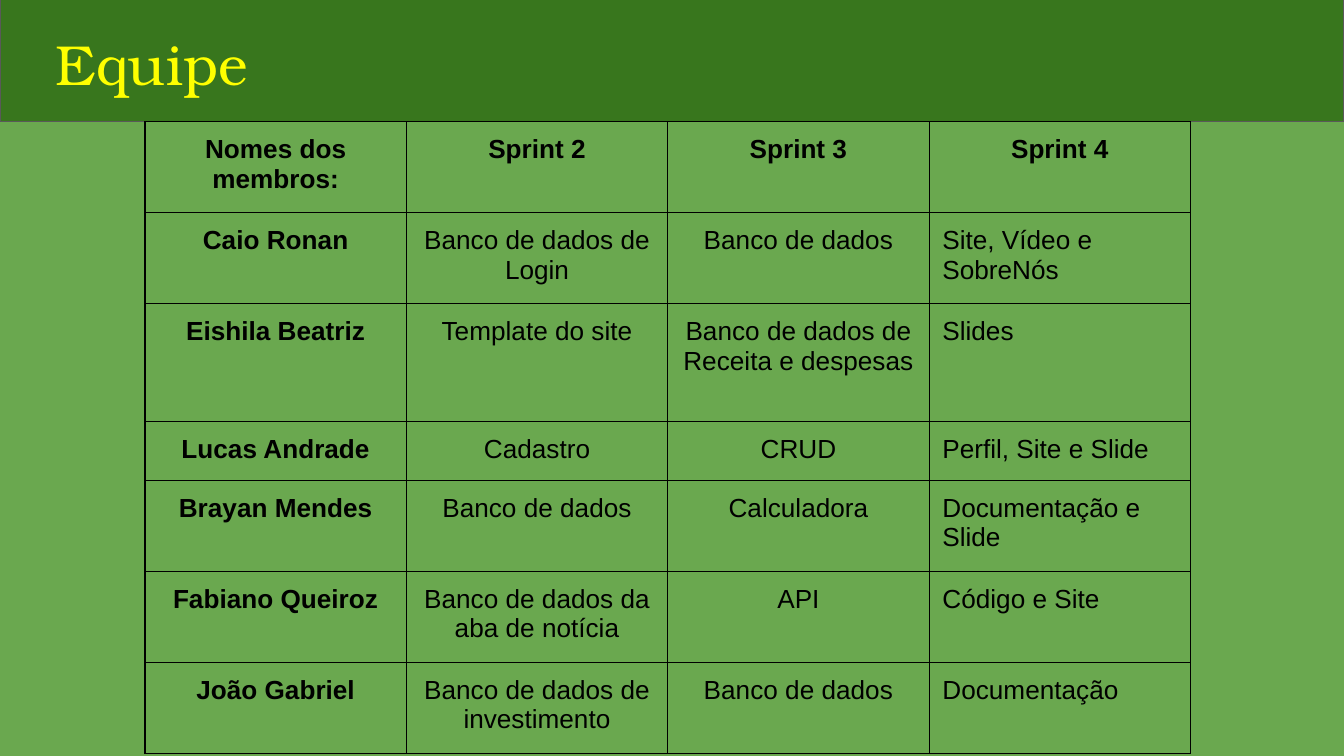
from lxml.etree import SubElement
from pptx import Presentation
from pptx.dml.color import RGBColor
from pptx.enum.shapes import MSO_SHAPE as Shape
from pptx.enum.text import MSO_ANCHOR as Anchor, PP_ALIGN as Align
from pptx.oxml.ns import qn
from pptx.util import Cm, Pt

COLORS = {
    "background": "6AA84F",
    "band": "38761D",
    "band_line": "595959",
    "title": "FFFF00",
    "ink": "000000",
}
PADDING = {f"margin_{side}": Cm(0.25) for side in ("left", "top", "right", "bottom")}

TEAM = [
    ["Nomes dos membros:", "Sprint 2", "Sprint 3", "Sprint 4"],
    ["Caio Ronan", "Banco de dados de Login", "Banco de dados", "Site, Vídeo e SobreNós"],
    ["Eishila Beatriz", "Template do site", "Banco de dados de Receita e despesas", "Slides"],
    ["Lucas Andrade", "Cadastro", "CRUD", "Perfil, Site e Slide"],
    ["Brayan Mendes", "Banco de dados", "Calculadora", "Documentação e Slide"],
    ["Fabiano Queiroz", "Banco de dados da aba de notícia", "API", "Código e Site"],
    ["João Gabriel", "Banco de dados de investimento", "Banco de dados", "Documentação"],
]
ROW_HEIGHTS = [1.72, 1.72, 2.23, 1.11, 1.72, 1.72, 1.72]


def rgb(name):
    return RGBColor.from_string(COLORS[name])


def set_attributes(target, values):
    for name, value in values.items():
        setattr(target, name, value)


def write(frame, text, color, align=Align.LEFT, **font):
    paragraph = frame.paragraphs[0]
    paragraph.alignment = align
    run = paragraph.add_run()
    run.text = text
    run.font.color.rgb = rgb(color)
    set_attributes(run.font, font)


def add_header(slide, left, top, width, height):
    band = slide.shapes.add_shape(Shape.RECTANGLE, Cm(left), Cm(top), Cm(width), Cm(height))
    band.shadow.inherit = False
    band.fill.solid()
    band.fill.fore_color.rgb = rgb("band")
    band.line.color.rgb = rgb("band_line")
    band.line.width = Pt(0.75)

    title = slide.shapes.add_textbox(
        Cm(left + 0.8), Cm(top + 0.28), Cm(width - 1.73), Cm(height - 0.4)
    ).text_frame
    set_attributes(title, {"word_wrap": True, "vertical_anchor": Anchor.MIDDLE, **PADDING})
    write(title, "Equipe", "title", name="TeX Gyre Bonum", size=Pt(30.2))


def add_borders(cell):
    properties = cell._tc.get_or_add_tcPr()
    for position, side in enumerate(("lnL", "lnR", "lnT", "lnB")):
        line = SubElement(properties, qn(f"a:{side}"), w=str(Pt(0.75)))
        fill = SubElement(line, qn("a:solidFill"))
        SubElement(fill, qn("a:srgbClr"), val=COLORS["ink"])
        # Borders come before the fill in the cell properties.
        properties.insert(position, line)


def add_team_table(slide, left, top, width):
    columns = len(TEAM[0])
    table = slide.shapes.add_table(
        len(TEAM), columns, Cm(left), Cm(top), Cm(width), Cm(sum(ROW_HEIGHTS))
    ).table
    set_attributes(table, {"first_row": False, "horz_banding": False})
    for column in table.columns:
        column.width = Cm(width / columns)
    for row, height in zip(table.rows, ROW_HEIGHTS):
        row.height = Cm(height)

    for r, entries in enumerate(TEAM):
        for c, entry in enumerate(entries):
            cell = table.cell(r, c)
            set_attributes(cell, PADDING)
            cell.fill.background()
            add_borders(cell)
            is_heading = r == 0 or c == 0
            is_last_task = r > 0 and c == columns - 1
            write(cell.text_frame, entry, "ink",
                  Align.LEFT if is_last_task else Align.CENTER,
                  name="Arial", size=Pt(14), bold=is_heading)


def main():
    deck = Presentation()
    deck.slide_width, deck.slide_height = Cm(25.4), Cm(14.29)
    slide = deck.slides.add_slide(deck.slide_layouts[6])
    slide.background.fill.solid()
    slide.background.fill.fore_color.rgb = rgb("background")
    add_header(slide, 0, -0.07, 25.4, 2.37)
    add_team_table(slide, 2.74, 2.3, 19.76)
    deck.save("out.pptx")


if __name__ == "__main__":
    main()
